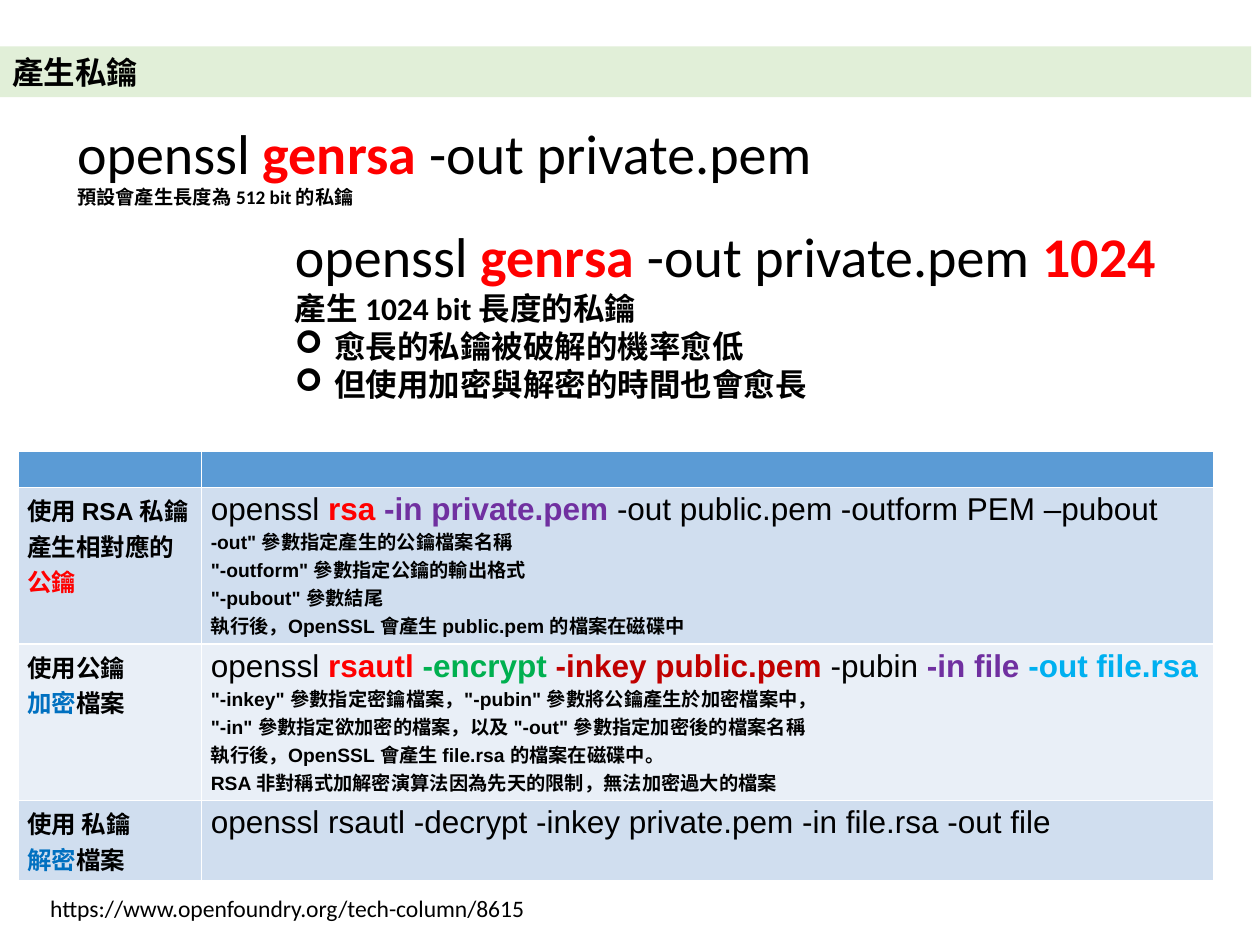
from dataclasses import dataclass

from lxml import etree
from pptx import Presentation
from pptx.dml.color import RGBColor
from pptx.enum import shapes, text
from pptx.oxml import ns
from pptx.util import Pt


@dataclass(frozen=True)
class Theme:
    black: str = "000000"
    red: str = "FF0000"
    purple: str = "7030A0"
    green: str = "00B050"
    crimson: str = "C00000"
    sky: str = "00B0F0"
    blue: str = "0070C0"
    title_bar: str = "E1EFD8"
    header: str = "5B9BD5"
    bands: tuple = ("D0DEEF", "E9EFF7")
    heading_font: str = "Calibri"
    table_font: str = "Arial"
    command: float = 32
    heading: float = 18
    table_command: float = 18
    label: float = 14
    link: float = 13.5
    note: float = 11


THEME = Theme()

LABELS = [
    [[("使用 RSA 私鑰產生相對應的", THEME.black), ("公鑰", THEME.red)]],
    [[("使用公鑰", THEME.black)], [("加密", THEME.blue), ("檔案", THEME.black)]],
    [[("使用 私鑰", THEME.black)], [("解密", THEME.blue), ("檔案", THEME.black)]],
]
COMMANDS = [
    [("openssl ", None), ("rsa ", THEME.red), ("-in private.pem ", THEME.purple),
     ("-out public.pem -outform PEM –pubout", None)],
    [("openssl ", None), ("rsautl ", THEME.red), ("-encrypt ", THEME.green),
     ("-inkey public.pem ", THEME.crimson), ("-pubin ", None),
     ("-in file ", THEME.purple), ("-out file.rsa", THEME.sky)],
    [("openssl rsautl -decrypt -inkey private.pem -in file.rsa -out file", None)],
]
NOTES = [
    ['-out" 參數指定產生的公鑰檔案名稱',
     '"-outform" 參數指定公鑰的輸出格式',
     '"-pubout" 參數結尾',
     "執行後，OpenSSL 會產生 public.pem 的檔案在磁碟中"],
    ['"-inkey" 參數指定密鑰檔案，"-pubin" 參數將公鑰產生於加密檔案中，',
     '"-in" 參數指定欲加密的檔案，以及 "-out" 參數指定加密後的檔案名稱',
     "執行後，OpenSSL 會產生 file.rsa 的檔案在磁碟中。",
     "RSA 非對稱式加解密演算法因為先天的限制，無法加密過大的檔案"],
    [],
]


def apply_format(target, values):
    for name, value in values.items():
        setattr(target, name, value)


def paint(fill, color):
    fill.solid()
    fill.fore_color.rgb = RGBColor.from_string(color)


def command_line(parts, size):
    return [(words, size, color or THEME.black, color is not None)
            for words, color in parts]


def bold_line(words, size):
    return [(words, size, THEME.black, True)]


def add_arrow_bullet(paragraph):
    properties = paragraph._p.get_or_add_pPr()
    indent = Pt(22.5)
    properties.set("marL", str(indent))
    properties.set("indent", str(-indent))
    etree.SubElement(properties, ns.qn("a:buFont")).set("typeface", "Wingdings")
    etree.SubElement(properties, ns.qn("a:buChar")).set("char", "➢")


def write_lines(frame, lines, font, bulleted=()):
    for index, line in enumerate(lines):
        paragraph = frame.paragraphs[0] if index == 0 else frame.add_paragraph()
        paragraph.alignment = text.PP_ALIGN.LEFT
        if index in bulleted:
            add_arrow_bullet(paragraph)
        for words, size, color, bold in line:
            run = paragraph.add_run()
            run.text = words
            apply_format(run.font, {"name": font, "size": Pt(size), "bold": bold})
            run.font.color.rgb = RGBColor.from_string(color)


def add_text(slide, area, lines, bulleted=()):
    frame = slide.shapes.add_textbox(*map(Pt, area)).text_frame
    frame.word_wrap = True
    write_lines(frame, lines, THEME.heading_font, bulleted)


def add_title_bar(slide, title):
    bar = slide.shapes.add_shape(
        shapes.MSO_SHAPE.RECTANGLE, *map(Pt, (0, 26.5, 715, 29)))
    bar.shadow.inherit = False
    paint(bar.fill, THEME.title_bar)
    bar.line.fill.background()
    apply_format(bar.text_frame, {
        "word_wrap": True, "vertical_anchor": text.MSO_ANCHOR.MIDDLE})
    write_lines(bar.text_frame, [bold_line(title, THEME.heading)], THEME.heading_font)


def fill_cell(cell, color, lines):
    paint(cell.fill, color)
    apply_format(cell, {
        "margin_left": Pt(5.2), "margin_right": Pt(5.2),
        "margin_top": Pt(2.6), "margin_bottom": Pt(2.6)})
    write_lines(cell.text_frame, lines, THEME.table_font)


def add_command_table(slide):
    widths, heights = (105, 578.5), (20.5, 89.5, 89.5, 45.5)
    table = slide.shapes.add_table(
        len(heights), len(widths),
        *map(Pt, (10.3, 258, sum(widths), sum(heights)))).table
    for column, width in zip(table.columns, widths):
        column.width = Pt(width)
    for row, height in zip(table.rows, heights):
        row.height = Pt(height)
    for cell in table.rows[0].cells:
        fill_cell(cell, THEME.header, [])
        empty_line = cell.text_frame.paragraphs[0]._p
        end = etree.SubElement(empty_line, ns.qn("a:endParaRPr"))
        end.set("sz", str(THEME.note * 100))
    for index, (label, command, notes) in enumerate(zip(LABELS, COMMANDS, NOTES)):
        band = THEME.bands[index % len(THEME.bands)]
        label_lines = [[(words, THEME.label, color, True) for words, color in line]
                       for line in label]
        usage_lines = [command_line(command, THEME.table_command)]
        usage_lines += [bold_line(note, THEME.note) for note in notes]
        fill_cell(table.cell(index + 1, 0), band, label_lines)
        fill_cell(table.cell(index + 1, 1), band, usage_lines)


def main():
    deck = Presentation()
    apply_format(deck, {"slide_width": Pt(720), "slide_height": Pt(540)})
    slide = deck.slides.add_slide(deck.slide_layouts[6])
    add_command_table(slide)
    add_text(slide, (21.6, 507, 290, 24), [
        [("https://www.openfoundry.org/tech-column/8615", THEME.link, THEME.black, False)]])
    add_title_bar(slide, "產生私鑰")
    generate = [("openssl ", None), ("genrsa", THEME.red)]
    add_text(slide, (37, 64, 441, 59), [
        command_line(generate + [(" -out private.pem", None)], THEME.command),
        bold_line("預設會產生長度為 512 bit 的私鑰", THEME.note)])
    add_text(slide, (161.5, 123.3, 525.5, 111.5), [
        command_line(generate + [(" -out private.pem ", None), ("1024", THEME.red)],
                     THEME.command),
        bold_line("產生 1024 bit 長度的私鑰", THEME.heading),
        bold_line("愈長的私鑰被破解的機率愈低", THEME.heading),
        bold_line("但使用加密與解密的時間也會愈長", THEME.heading)], bulleted=(2, 3))
    deck.save("out.pptx")


if __name__ == "__main__":
    main()
